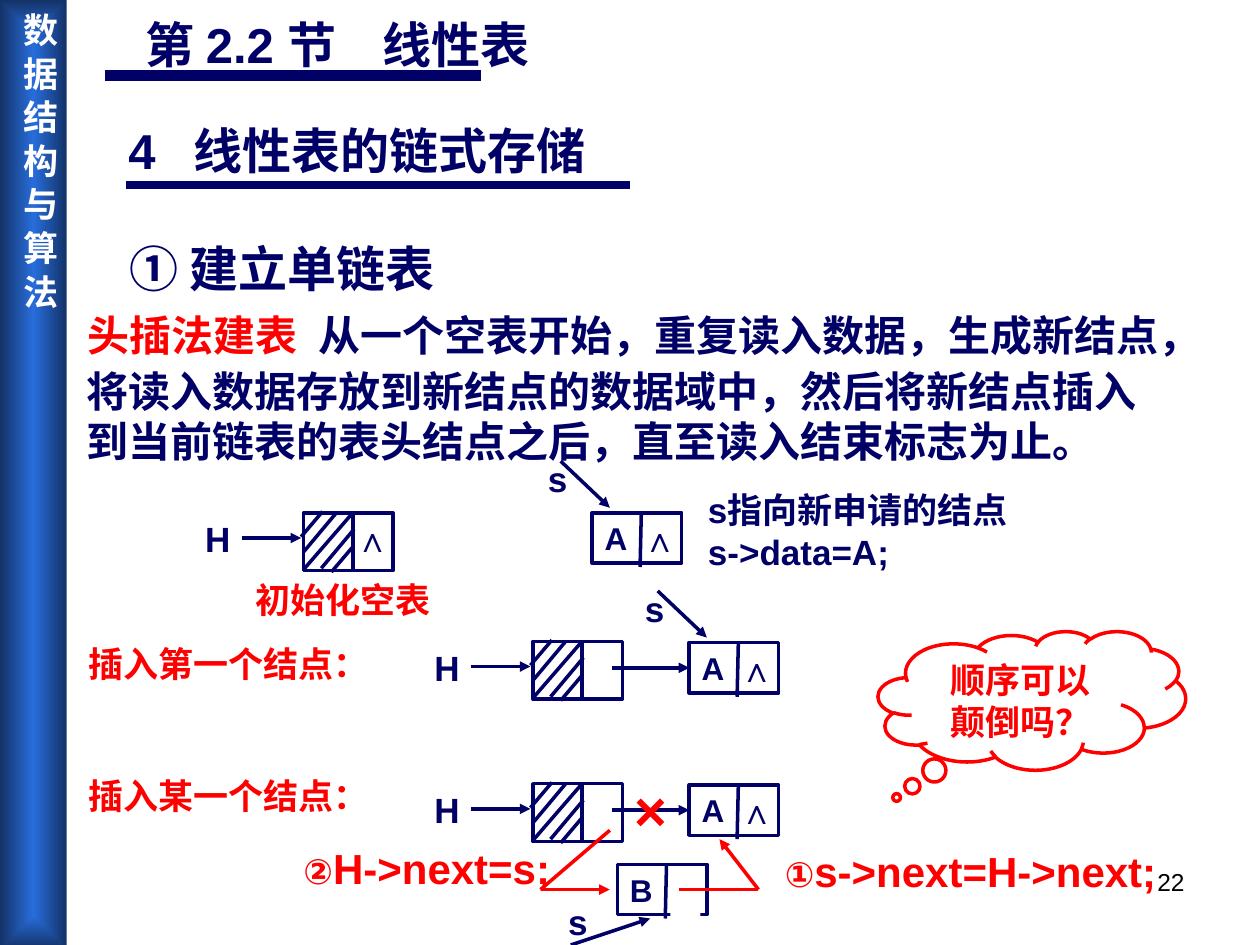
from dataclasses import dataclass
from typing import Optional

from lxml.etree import SubElement
from pptx import Presentation
from pptx.dml.color import RGBColor
from pptx.enum.shapes import MSO_CONNECTOR as Link, MSO_SHAPE as Kind
from pptx.enum.text import MSO_ANCHOR as Anchor, MSO_AUTO_SIZE as Fit, PP_ALIGN as Align
from pptx.oxml.ns import qn
from pptx.util import Inches, Pt

NAVY = RGBColor(0x00, 0x00, 0x66)
RED = RGBColor(0xFF, 0x00, 0x00)
WHITE = RGBColor(0xFF, 0xFF, 0xFF)
BLACK = RGBColor(0x00, 0x00, 0x00)
BLUE = RGBColor(0x28, 0x6D, 0xDC)
DEEP = RGBColor(0x13, 0x32, 0x66)
LATIN, HAN = "Arial", "Noto Sans CJK SC"

deck = Presentation()
deck.slide_width, deck.slide_height = Inches(10), Inches(7.5)
slide = deck.slides.add_slide(deck.slide_layouts[6])
shapes = slide.shapes

# The slide is a grid of 100 columns by 75 rows.
COL = deck.slide_width / 100
ROW = deck.slide_height / 75


@dataclass
class Ray:
    """A line from one grid point to another."""
    x1: float
    y1: float
    x2: float
    y2: float

    def shift(self, x: float, y: float) -> "Ray":
        return Ray(self.x1 + x, self.y1 + y, self.x2 + x, self.y2 + y)


@dataclass
class Tag:
    text: str
    x: float
    y: float
    w: float
    h: float = 4.4
    size: float = 20
    color: RGBColor = NAVY
    wrap: bool = False
    bold: bool = True
    align: Optional[Align] = None
    tab: float = 0


@dataclass
class Node:
    """A data cell; its s label and pointer are offsets from its corner."""
    text: str
    x: float
    y: float
    mark: Optional[tuple] = None
    ray: Optional[Ray] = None


def place(x: float, y: float, w: float, h: float) -> tuple:
    return round(x * COL), round(y * ROW), round(w * COL), round(h * ROW)


def paint(frame, size: float, color: RGBColor, bold: bool = True, name: str = LATIN) -> None:
    for para in frame.paragraphs:
        for run in para.runs:
            font = run.font
            font.size, font.bold, font.name = Pt(size), bold, name
            font.color.rgb = color
            SubElement(font._element, qn("a:ea"), typeface=HAN)


def write(tag: Tag):
    box = shapes.add_textbox(*place(tag.x, tag.y, tag.w, tag.h))
    frame = box.text_frame
    frame.word_wrap, frame.auto_size = tag.wrap, Fit.SHAPE_TO_FIT_TEXT
    frame.text = tag.text
    for para in frame.paragraphs:
        if tag.align is not None:
            para.alignment = tag.align
        if tag.tab:
            tabs = SubElement(para._p.get_or_add_pPr(), qn("a:tabLst"))
            SubElement(tabs, qn("a:tab"), pos=str(round(tag.tab * COL)), algn="l")
    paint(frame, tag.size, tag.color, tag.bold)
    return box


def step(mark: str, code: str, x: float, y: float, w: float) -> None:
    """Write a small circled number followed by larger code."""
    box = write(Tag(mark, x, y, w, 5, 24, RED))
    para = box.text_frame.paragraphs[0]
    para.add_run().text = code
    paint(box.text_frame, 24, RED)
    para.runs[0].font.size = Pt(20)


def draw(ray: Ray, color: RGBColor = NAVY, width: float = 2, arrow: bool = False):
    x1, y1, x2, y2 = place(ray.x1, ray.y1, ray.x2, ray.y2)
    line = shapes.add_connector(Link.STRAIGHT, x1, y1, x2, y2)
    line.line.color.rgb, line.line.width = color, Pt(width)
    props = line._element.spPr
    if arrow:
        SubElement(props.find(qn("a:ln")), qn("a:tailEnd"), type="triangle")
    SubElement(props, qn("a:effectLst"))
    return line


def form(kind: Kind, x: float, y: float, w: float, h: float,
         edge: Optional[RGBColor] = NAVY, fill: Optional[RGBColor] = None):
    shape = shapes.add_shape(kind, *place(x, y, w, h))
    shape.shadow.inherit = False
    if fill is None:
        shape.fill.background()
    else:
        shape.fill.solid()
        shape.fill.fore_color.rgb = fill
    if edge is None:
        shape.line.fill.background()
    else:
        shape.line.color.rgb, shape.line.width = edge, Pt(2)
    return shape


def cover(x: float, y: float, w: float) -> None:
    """Blank out the null sign of a cell."""
    form(Kind.RECTANGLE, x, y, w, 3.7, None, WHITE)


HATCH = (Ray(1.5, -0.1, -0.2, 1.9), Ray(2.6, 0, 0, 3.1), Ray(3.9, 0, 0, 4.5),
         Ray(4, 1.3, 1.4, 4.4), Ray(3.9, 2.7, 2.2, 4.7))


def head(x: float, y: float) -> None:
    """Draw H, its arrow and the hatched head cell."""
    write(Tag("H", x - 8.8, y - 0.1, 4))
    draw(Ray(-4.9, 2, -0.2, 2).shift(x, y), arrow=True)
    form(Kind.RECTANGLE, x, y, 7.1, 4.6)
    for ray in (Ray(3.9, 0, 3.9, 4.7), *HATCH):
        draw(ray.shift(x, y))
    write(Tag("∧", x + 3.1, y - 0.1, 4.8))


def cell(node: Node):
    x, y = node.x, node.y
    if node.mark:
        write(Tag("s", x + node.mark[0], y + node.mark[1], 3.5))
    if node.ray:
        draw(node.ray.shift(x, y), arrow=True)
    box = form(Kind.RECTANGLE, x, y, 7.1, 4)
    frame = box.text_frame
    frame.text = node.text
    frame.paragraphs[0].alignment = Align.LEFT
    paint(frame, 18, NAVY)
    draw(Ray(3.9, 0, 3.8, 4.3).shift(x, y))
    write(Tag("∧", x + 3, y - 0.1, 4.8))
    return box


def chain(x: float, y: float, node: Node) -> None:
    """Draw a head cell whose pointer leads to the node."""
    head(x, y)
    goal = cell(node)
    cover(x + 4.3, y + 0.2, 2)
    mid = node.y + 2
    draw(Ray(x + 6.3, mid, node.x, mid), arrow=True).end_connect(goal, 1)


def banner() -> None:
    bar = form(Kind.RECTANGLE, 0, 0, 5.3, 75.3, None)
    bar.fill.gradient()
    for stop, color, pos in zip(bar.fill.gradient_stops, (BLUE, DEEP), (0, 1)):
        stop.color.rgb, stop.position = color, pos
    grad = bar._element.spPr.find(qn("a:gradFill"))
    grad.remove(grad.find(qn("a:lin")))
    path = SubElement(grad, qn("a:path"), path="rect")
    SubElement(path, qn("a:fillToRect"), l="50000", t="50000", r="50000", b="50000")
    frame = bar.text_frame
    frame.text = "数 据 结 构 与 算 法"
    frame.margin_left = frame.margin_right = Inches(0.05)
    frame.margin_top = frame.margin_bottom = Inches(0.1)
    frame.vertical_anchor = Anchor.TOP
    frame._txBody.bodyPr.set("vert", "eaVert")
    frame.paragraphs[0].alignment = Align.CENTER
    paint(frame, 20, WHITE, name=HAN)


def cloud() -> None:
    shape = form(Kind.CLOUD_CALLOUT, 69.7, 50.1, 24.4, 11, RED)
    shape.adjustments[0], shape.adjustments[1] = -0.44, 0.7
    frame = shape.text_frame
    frame.text = "顺序可以\n颠倒吗？"
    frame.vertical_anchor = Anchor.TOP
    for para in frame.paragraphs:
        para.alignment = Align.CENTER
    paint(frame, 20, RED)


TAGS = (
    Tag("22", 71.7, 68.3, 23.3, 5.2, 14, BLACK, True, False, Align.RIGHT),
    Tag("第 2.2 节\t线性表", 10.6, 0.7, 53.4, 5.7, 28, wrap=True, tab=18.8),
    Tag("4\t线性表的链式存储", 9.2, 9.1, 43.9, 5.7, 28, wrap=True, tab=5.2),
    Tag("① 建立单链表", 9.3, 18.4, 32.4, 5.7, 28, wrap=True),
    Tag("头插法建表", 6, 24.1, 20.3, 5, 24, RED, True),
    Tag("从一个空表开始，重复读入数据，生成新结点，", 24.3, 24.1, 72, 5, 24),
    Tag("将读入数据存放到新结点的数据域中，然后将新结点插入到当前链表的表头结点之后，"
        "直至读入结束标志为止。", 5.9, 28.5, 88.2, 9, 24, wrap=True),
    Tag("s指向新申请的结点\ns->data=A;", 55.2, 38.3, 26.5, 7.7),
    Tag("初始化空表", 19.3, 45.4, 15.9, color=RED),
    Tag("插入第一个结点：", 6, 50.5, 24.2, color=RED),
    Tag("插入某一个结点：", 6, 61, 24.2, color=RED),
)
SIGN, DOWN = (-4.5, -4.9), Ray(-2.5, -4.1, 1.4, -0.4)

banner()
draw(Ray(8.3, 6, 38.2, 6), width=6)
draw(Ray(10, 14.7, 50, 14.7), width=4.25)
for tag in TAGS:
    write(tag)

head(24.1, 40.7)
cell(Node("A", 47, 40.7, SIGN, DOWN))
chain(42.3, 50.9, Node("A", 54.7, 51, SIGN, DOWN))
chain(42.3, 62.2, Node("A", 54.7, 62.3))
cell(Node("B", 49, 68.6, (-4.9, 2.4), Ray(-3.7, 6.4, 2.6, 4.3)))
cover(53.2, 69, 2.4)

write(Tag("×", 49.4, 61.1, 4.6, 6.4, 32, RED))
draw(Ray(48.4, 65.9, 42.9, 70.6), RED)
draw(Ray(42.9, 70.6, 48.4, 70.6), RED, arrow=True)
draw(Ray(53.9, 70.6, 60.2, 70.6), RED)
draw(Ray(60.2, 70.6, 57.1, 66.6), RED, arrow=True)
step("①", "s->next=H->next;", 61.3, 66.6, 31.5)
step("②", "H->next=s;", 23.1, 66.4, 21.6)
cloud()

deck.save("out.pptx")
